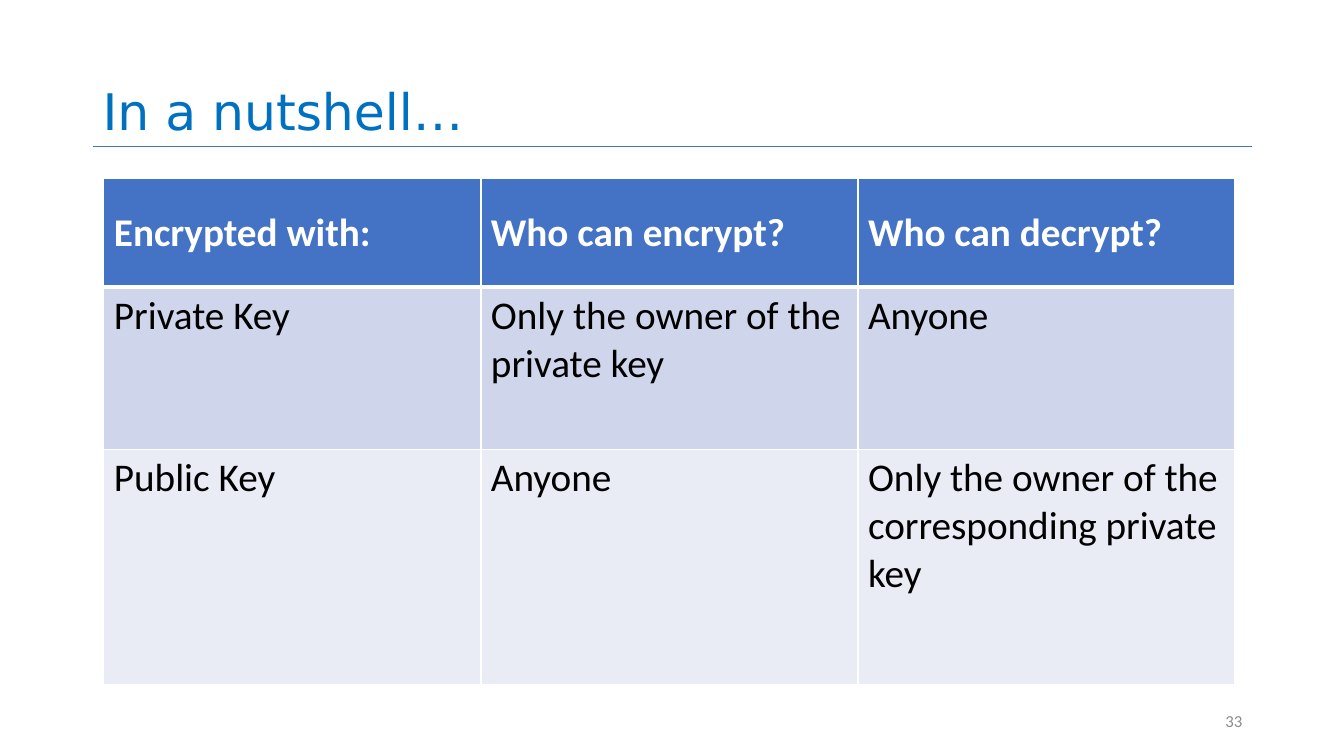
from lxml import etree
from pptx import Presentation
from pptx.dml.color import RGBColor
from pptx.enum.shapes import MSO_CONNECTOR
from pptx.enum.text import MSO_ANCHOR, PP_ALIGN
from pptx.oxml.ns import qn
from pptx.util import Pt

PX = 9144  # 100 px to the inch
STRAIGHT = MSO_CONNECTOR.STRAIGHT
TOP, MIDDLE, BOTTOM = MSO_ANCHOR.TOP, MSO_ANCHOR.MIDDLE, MSO_ANCHOR.BOTTOM
LEFT, RIGHT = PP_ALIGN.LEFT, PP_ALIGN.RIGHT
COLORS = {
    "title": "0070C0", "accent": "4472C4", "number": "8C8C8C", "white": "FFFFFF",
    "black": "000000", "private": "CFD5EA", "public": "E9EBF5",
}


def write_text(frame, text, color, size, name="Calibri", bold=False, align=LEFT):
    paragraph = frame.paragraphs[0]
    paragraph.alignment = align
    run = paragraph.add_run()
    run.text = text
    for key, value in {"size": Pt(size), "name": name, "bold": bold}.items():
        setattr(run.font, key, value)
    run.font.color.rgb = RGBColor.from_string(COLORS[color])
    return paragraph


def add_border(cell, side, points):
    properties = cell._tc.get_or_add_tcPr()
    line = etree.SubElement(properties, qn(f"a:ln{side}"), w=str(Pt(points)))
    fill = etree.SubElement(line, qn("a:solidFill"))
    etree.SubElement(fill, qn("a:srgbClr"), val=COLORS["white"])


presentation = Presentation()
presentation.slide_width, presentation.slide_height = 1333 * PX, 750 * PX
slide = presentation.slides.add_slide(presentation.slide_layouts[6])

# Title rule
rule = slide.shapes.add_connector(STRAIGHT, 92 * PX, 145 * PX, 1242 * PX, 145 * PX)
rule.line.width = Pt(0.5)
rule.line.color.rgb = RGBColor.from_string(COLORS["accent"])
etree.SubElement(rule._element.spPr, qn("a:effectLst"))

# Title and slide number
title = slide.shapes.add_textbox(92 * PX, 0, 1150 * PX, 145 * PX).text_frame
title.word_wrap, title.vertical_anchor = True, BOTTOM
heading = write_text(title, "In a nutshell…", "title", 36, "DejaVu Sans")
heading.line_spacing = 0.9

number = slide.shapes.add_textbox(942 * PX, 695 * PX, 300 * PX, 40 * PX).text_frame
number.word_wrap, number.vertical_anchor = True, MIDDLE
write_text(number, "33", "number", 12, align=RIGHT)

# Key table: height, fill, text colour, anchor, top and bottom border, texts
rows = [
    (108, "accent", "white", MIDDLE, 1, 3,
     ["Encrypted with:", "Who can encrypt?", "Who can decrypt?"]),
    (161, "private", "black", TOP, 3, 1,
     ["Private Key", "Only the owner of the private key", "Anyone"]),
    (233, "public", "black", TOP, 1, 1,
     ["Public Key", "Anyone", "Only the owner of the corresponding private key"]),
]
table = slide.shapes.add_table(3, 3, 103 * PX, 177 * PX, 1122 * PX, 502 * PX).table
table.horz_banding = False
for column in table.columns:
    column.width = 374 * PX
for row_index, (height, fill, color, anchor, top, bottom, texts) in enumerate(rows):
    table.rows[row_index].height = height * PX
    for column_index, text in enumerate(texts):
        cell = table.cell(row_index, column_index)
        for side, points in {"L": 1, "R": 1, "T": top, "B": bottom}.items():
            add_border(cell, side, points)
        cell.fill.solid()
        cell.fill.fore_color.rgb = RGBColor.from_string(COLORS[fill])
        cell.vertical_anchor = anchor
        write_text(cell.text_frame, text, color, 28, bold=row_index == 0)

presentation.save("out.pptx")
